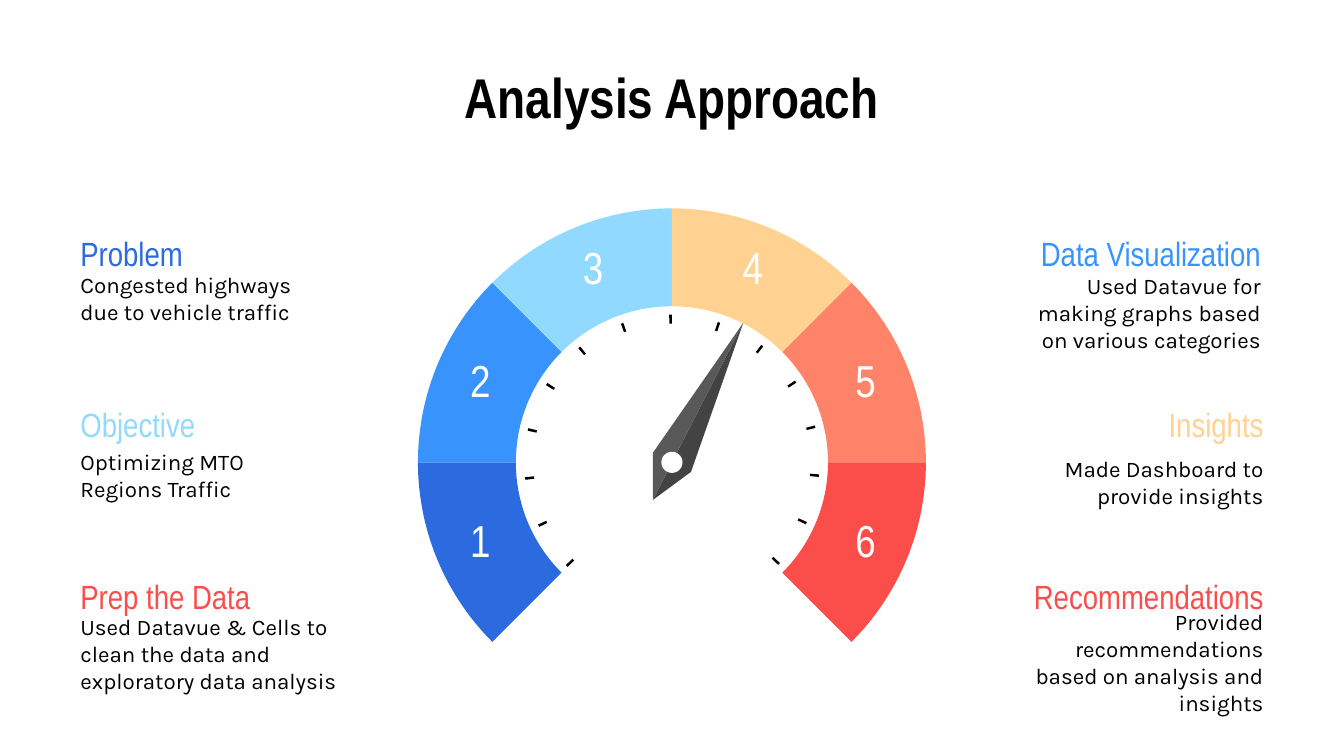
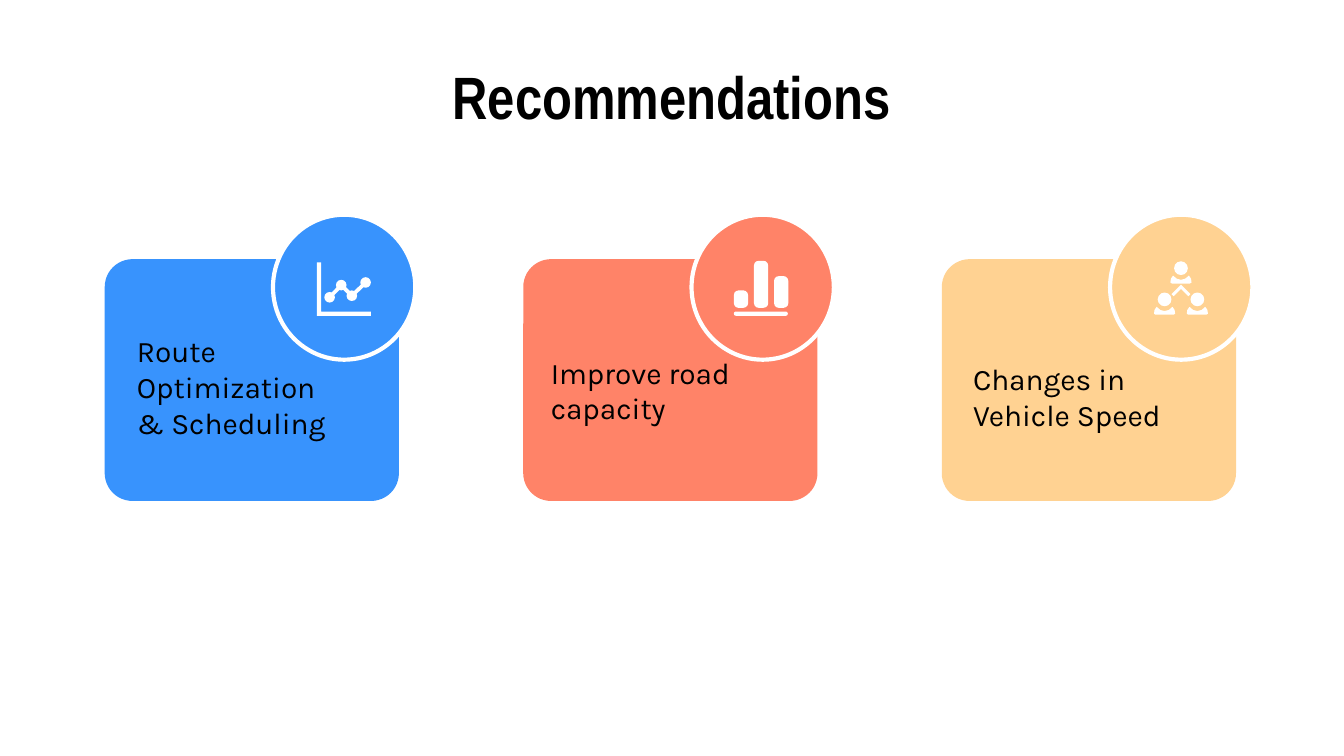
import math
from dataclasses import dataclass
from itertools import pairwise

import pptx
import pptx.dml.color
import pptx.enum.shapes
import pptx.enum.text
import pptx.oxml
import pptx.util

Cm = pptx.util.Cm
SHAPES = pptx.enum.shapes.MSO_SHAPE
ALIGN = pptx.enum.text.PP_ALIGN


@dataclass(frozen=True)
class Theme:
    black: str = "000000"
    white: str = "FFFFFF"
    royal: str = "2C6ADF"
    blue: str = "3893FD"
    sky: str = "91D9FF"
    sand: str = "FFD292"
    coral: str = "FF8368"
    red: str = "FB4E4B"
    needle_dark: str = "434343"
    needle_light: str = "595959"
    heading_font: str = "Arial Narrow"
    body_font: str = "Karla"
    body_size: int = 12
    card_size: int = 16
    heading_size: int = 18
    number_size: int = 24


THEME = Theme()


def rgb(color):
    return pptx.dml.color.RGBColor.from_string(color)


def set_format(target, values):
    for name, value in values.items():
        setattr(target, name, value)


def polar(center, radius, degrees):
    """Point at a clockwise angle from twelve o'clock."""
    angle = math.radians(degrees)
    return center[0] + radius * math.sin(angle), center[1] - radius * math.cos(angle)


class Deck:
    """Holds the presentation, its theme and the slide being drawn; lengths are in cm."""

    def __init__(self, theme):
        self.theme = theme
        self.presentation = pptx.Presentation()
        set_format(self.presentation, {"slide_width": Cm(25.4), "slide_height": Cm(14.29)})
        self.slide = None

    def add_slide(self, title, title_size):
        self.slide = self.presentation.slides.add_slide(self.presentation.slide_layouts[6])
        self.text(title, (1.27, 1.14, 22.86, 1.35), title_size, self.theme.black,
                  align=ALIGN.CENTER, bold=True)

    def text(self, content, box, size, color, font=None, align=ALIGN.LEFT,
             bold=False, vertical_inset=0.25):
        frame = self.slide.shapes.add_textbox(*map(Cm, box)).text_frame
        set_format(frame, {
            "word_wrap": True,
            "vertical_anchor": pptx.enum.text.MSO_ANCHOR.MIDDLE,
            "margin_left": Cm(0.25),
            "margin_right": Cm(0.25),
            "margin_top": Cm(vertical_inset),
            "margin_bottom": Cm(vertical_inset),
        })
        paragraph = frame.paragraphs[0]
        paragraph.alignment = align
        run = paragraph.add_run()
        run.text = content
        set_format(run.font, {"name": font or self.theme.heading_font,
                              "size": pptx.util.Pt(size), "bold": bold})
        run.font.color.rgb = rgb(color)

    def paint(self, shape, fill, outline=None):
        shape.shadow.inherit = False
        shape.fill.solid()
        shape.fill.fore_color.rgb = rgb(fill)
        if outline:
            shape.line.color.rgb = rgb(outline)
            shape.line.width = pptx.util.Pt(2.25)
        else:
            shape.line.fill.background()

    def shape(self, kind, box, fill, outline=None, rounding=None):
        shape = self.slide.shapes.add_shape(kind, *map(Cm, box))
        if rounding is not None:
            shape.adjustments[0] = rounding
        self.paint(shape, fill, outline)

    def dot(self, center, radius, fill):
        x, y = center
        self.shape(SHAPES.OVAL, (x - radius, y - radius, 2 * radius, 2 * radius), fill)

    def polygon(self, contours, fill):
        """One freeform made of one or more closed contours."""
        builder = None
        for contour in contours:
            start, *rest = [(Cm(x), Cm(y)) for x, y in contour]
            if builder is None:
                builder = self.slide.shapes.build_freeform(*start)
            else:
                builder.move_to(*start)
            builder.add_line_segments(rest, close=True)
        self.paint(builder.convert_to_shape(), fill)

    def line(self, start, end, color, width):
        connector = self.slide.shapes.add_connector(
            pptx.enum.shapes.MSO_CONNECTOR.STRAIGHT, *map(Cm, (*start, *end)))
        connector.line.color.rgb = rgb(color)
        connector.line.width = pptx.util.Pt(width)
        connector._element.spPr.append(pptx.oxml.parse_xml(
            '<a:effectLst xmlns:a="http://schemas.openxmlformats.org/drawingml/2006/main"/>'))


def draw_gauge(deck):
    theme = deck.theme
    center = (12.7, 8.74)
    tail, tip = (12.34, 9.45), (14.05, 6.1)
    deck.polygon([[center, tail, (13.06, 8.92), tip]], theme.needle_dark)
    deck.polygon([[center, tail, (12.34, 8.56), tip]], theme.needle_light)

    colors = (theme.royal, theme.blue, theme.sky, theme.sand, theme.coral, theme.red)
    for index, color in enumerate(colors):
        start = -135 + 45 * index
        angles = [start + 1.5 * step for step in range(31)]
        outer = [polar(center, 4.8, angle) for angle in angles]
        inner = [polar(center, 2.95, angle) for angle in reversed(angles)]
        deck.polygon([outer + inner], color)
    deck.dot(center, 0.2, theme.white)

    ticks = []
    for index in range(15):
        angle = -134.6 + 19.15 * index
        ticks.append([polar(center, radius, angle + turn) for radius, turn in
                      ((2.62, -0.5), (2.79, -0.5), (2.79, 0.5), (2.62, 0.5))])
    deck.polygon(ticks, theme.black)

    for index in range(len(colors)):
        x, y = polar((12.72, 8.69), 3.94, -112.5 + 45 * index)
        deck.text(str(index + 1), (x - 0.8, y - 0.92, 1.6, 1.83), theme.number_size,
                  theme.white, align=ALIGN.CENTER)


def draw_approach(deck):
    theme = deck.theme
    deck.add_slide("Analysis Approach", 30)
    draw_gauge(deck)
    # heading, colour, body, body top, body width
    left_steps = (
        ("Problem", theme.royal, "Congested highways due to vehicle traffic", 4.93, 5.23),
        ("Objective", theme.sky, "Optimizing MTO Regions Traffic", 8.28, 5.23),
        ("Prep the Data", theme.red,
         "Used Datavue & Cells to clean the data and exploratory data analysis", 11.66, 5.87),
    )
    right_steps = (
        ("Data Visualization", theme.blue,
         "Used Datavue for making graphs based on various categories", 5.21, 5.23),
        ("Insights", theme.sand, "Made Dashboard to provide insights", 8.41, 5.23),
        ("Recommendations", theme.red,
         "Provided recommendations based on analysis and insights", 11.81, 5.26),
    )
    right_edges = (24.08, 24.13, 24.13)
    for steps, align in ((left_steps, ALIGN.LEFT), (right_steps, ALIGN.RIGHT)):
        heading_width = 4.01 if align == ALIGN.LEFT else 5.23
        for row, (heading, color, body, body_top, body_width) in enumerate(steps):
            def left(width):
                return 1.27 if align == ALIGN.LEFT else right_edges[row] - width

            deck.text(body, (left(body_width), body_top, body_width, 1.4),
                      theme.body_size, theme.black, theme.body_font, align)
            deck.text(heading, (left(heading_width), 4.19 + 3.24 * row, heading_width, 1.19),
                      theme.heading_size, color, align=align)


def draw_trend_icon(deck, x, y):
    white = deck.theme.white
    axes = ((-0.51, -0.48), (-0.43, -0.48), (-0.43, 0.45), (0.51, 0.45),
            (0.51, 0.53), (-0.51, 0.53))
    deck.polygon([[(x + dx, y + dy) for dx, dy in axes]], white)
    offsets = ((-0.27, 0.18), (-0.05, -0.05), (0.15, 0.15), (0.41, -0.1))
    points = [(x + dx, y + dy) for dx, dy in offsets]
    for start, end in pairwise(points):
        deck.line(start, end, white, 2)
    for point in points:
        deck.dot(point, 0.1, white)


def draw_bars_icon(deck, x, y):
    white = deck.theme.white
    left = x - 0.54
    deck.shape(SHAPES.ROUNDED_RECTANGLE, (left, y + 0.45, 1.02, 0.08), white, rounding=0.5)
    for index, height in enumerate((0.33, 0.89, 0.6)):
        deck.shape(SHAPES.ROUNDED_RECTANGLE,
                   (left + 0.38 * index, y + 0.38 - height, 0.27, height), white, rounding=0.33)


def draw_team_icon(deck, x, y):
    white = deck.theme.white
    shoulders = ((-0.15, 0), (-0.19, 0.06), (-0.2, 0.13), (-0.17, 0.15), (0.17, 0.15),
                 (0.2, 0.13), (0.19, 0.06), (0.15, 0), (0.08, 0.06), (0, 0.08), (-0.08, 0.06))
    for head_x, head_y in ((x, y - 0.37), (x + 0.31, y + 0.22), (x - 0.31, y + 0.22)):
        deck.polygon([[(head_x + dx, head_y + 0.14 + dy) for dx, dy in shoulders]], white)
        deck.dot((head_x, head_y), 0.13, white)
    chevron = ((0, -0.06), (0.18, 0.12), (0.14, 0.16), (0, 0.02), (-0.14, 0.16), (-0.18, 0.12))
    deck.polygon([[(x + dx, y + dy) for dx, dy in chevron]], white)


def draw_recommendations(deck):
    theme = deck.theme
    deck.add_slide("Recommendations", 32)
    cards = (
        ("Route Optimization & Scheduling", theme.blue, (2.34, 5.72, 4.14, 3.18), draw_trend_icon),
        ("Improve road capacity", theme.coral, (10.16, 5.89, 4.11, 2.97), draw_bars_icon),
        ("Changes in Vehicle Speed", theme.sand, (18.14, 5.92, 4.37, 3.15), draw_team_icon),
    )
    for index, (label, color, label_box, draw_icon) in enumerate(cards):
        left = 1.98 + 7.91 * index
        deck.shape(SHAPES.ROUNDED_RECTANGLE, (left, 4.9, 5.56, 4.57), color, rounding=0.115)
        deck.shape(SHAPES.OVAL, (left + 3.18, 4.06, 2.69, 2.74), color, outline=theme.white)
        deck.text(label, label_box, theme.card_size, theme.black, theme.body_font,
                  vertical_inset=0.13)
        draw_icon(deck, left + 4.52, 5.44)


def main():
    deck = Deck(THEME)
    draw_approach(deck)
    draw_recommendations(deck)
    deck.presentation.save("out.pptx")


if __name__ == "__main__":
    main()
